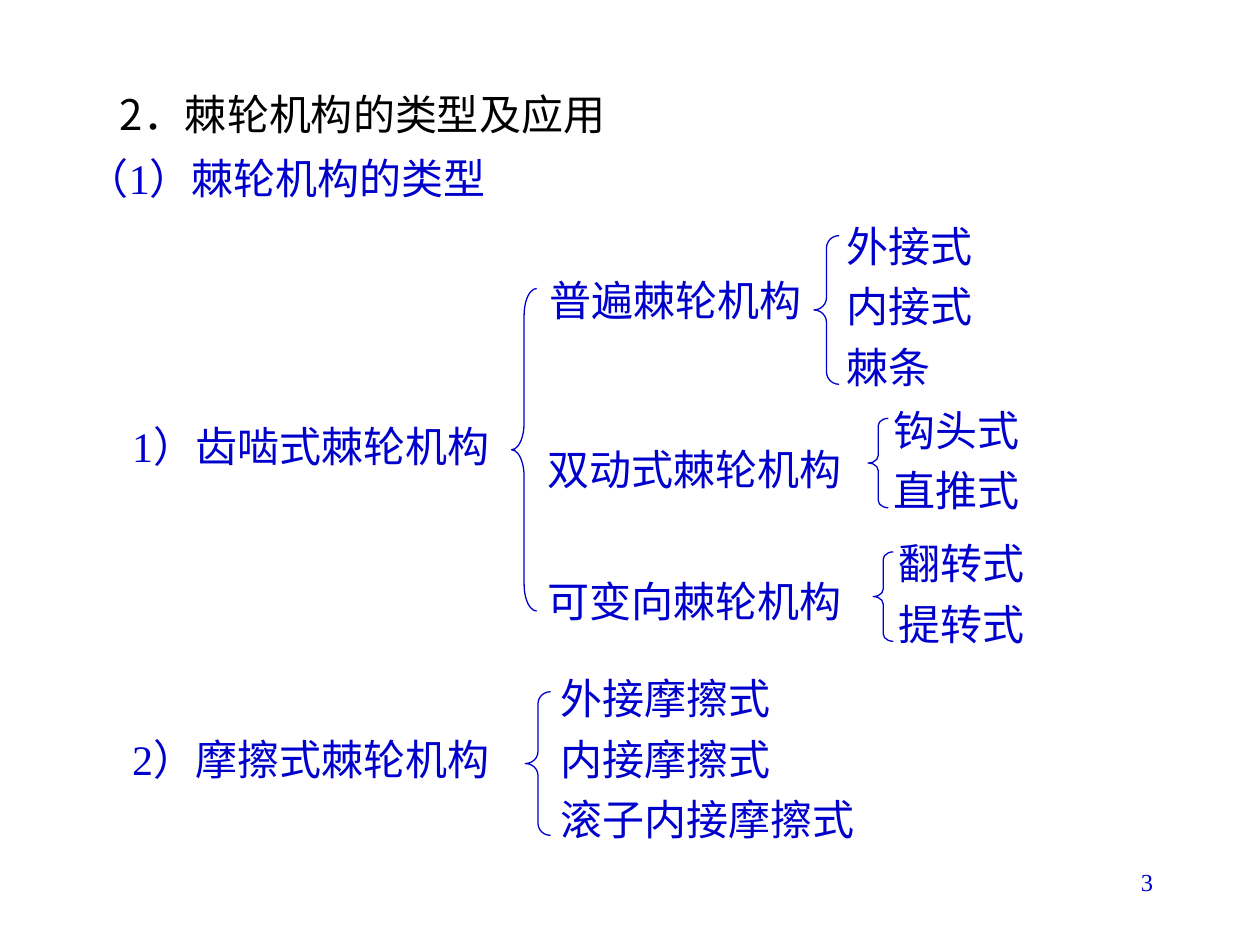
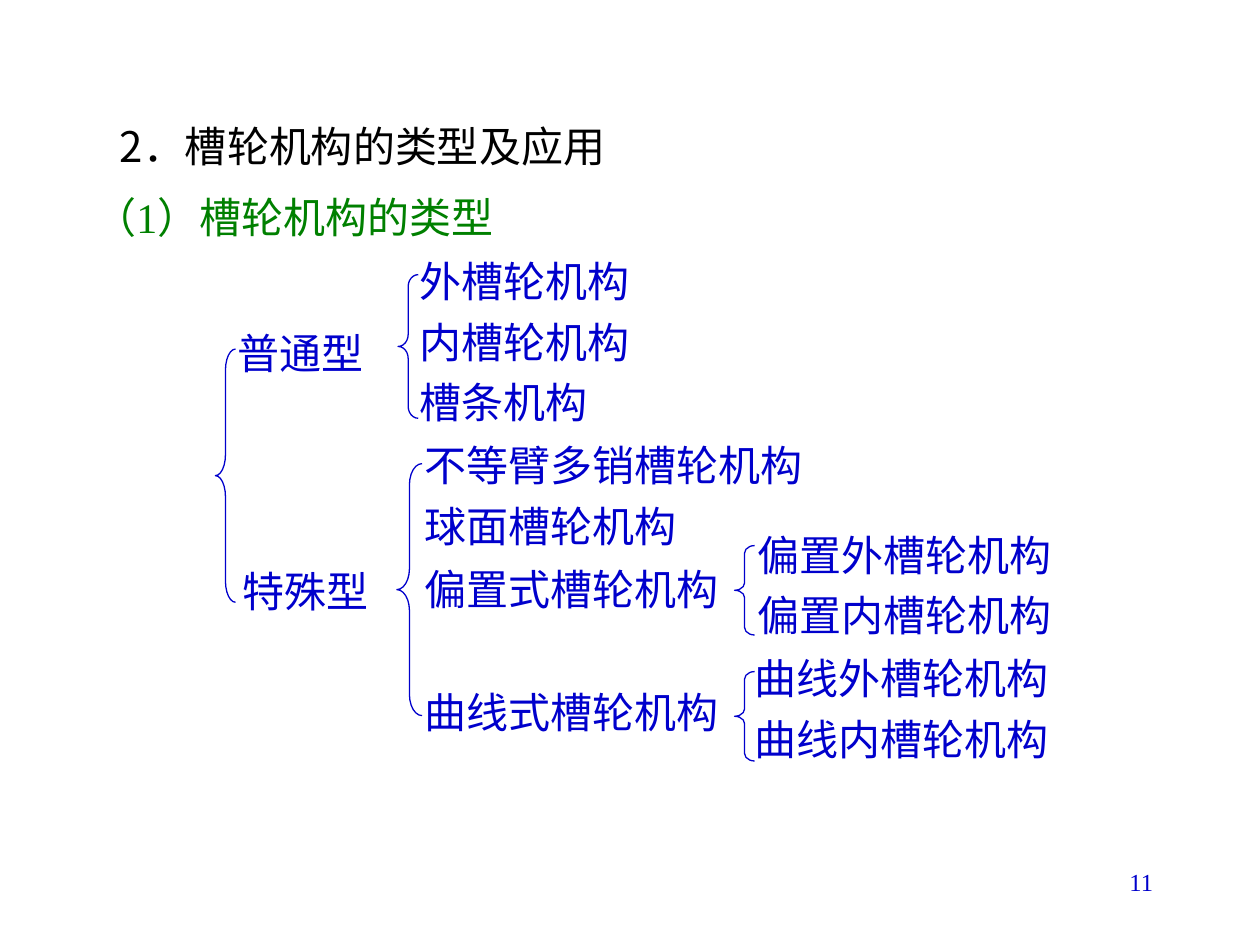
from lxml import etree
from pptx import Presentation
from pptx.dml.color import RGBColor
from pptx.enum.shapes import MSO_SHAPE
from pptx.enum.text import MSO_ANCHOR, MSO_AUTO_SIZE, PP_ALIGN
from pptx.oxml.ns import qn
from pptx.util import Inches, Pt

COLS, ROWS = 100, 75
CJK, LATIN = "Noto Sans CJK SC", "Times New Roman"
BLACK, BLUE, GREEN = "000000", "0000CC", "008000"
CHAR = 100 / 30  # columns taken by one full-width 24 pt character
PAD = 2.2        # columns for the side insets of a text box


def color(hex_string):
    return RGBColor.from_string(hex_string)


def write(sp, *lines, font=LATIN, size=24, fill=BLUE, align=PP_ALIGN.LEFT, spacing=1.0):
    tf = sp.text_frame
    tf.word_wrap = True
    tf.auto_size = MSO_AUTO_SIZE.NONE
    tf.vertical_anchor = MSO_ANCHOR.TOP
    tf.margin_left = tf.margin_right = Inches(0.1)
    tf.margin_top = tf.margin_bottom = Inches(0.05)
    for i, line in enumerate(lines):
        p = tf.add_paragraph() if i else tf.paragraphs[0]
        p.alignment = align
        p.line_spacing = spacing
        r = p.add_run()
        r.text = line
        r.font.name = font
        r.font.size = Pt(size)
        r.font.color.rgb = color(fill)
        east_asian = etree.SubElement(r.font._element, qn("a:ea"))
        east_asian.set("typeface", CJK)


class Deck:
    """Shared style and current slide; lengths are columns and rows of a 100 x 75 grid."""

    def __init__(self):
        self.prs = Presentation()
        self.prs.slide_width, self.prs.slide_height = Inches(10), Inches(7.5)

    def box(self, col, row, cols, rows):
        x, y = self.prs.slide_width / COLS, self.prs.slide_height / ROWS
        return [round(v) for v in (col * x, row * y, cols * x, rows * y)]

    def slide(self, title, row, number):
        self.s = self.prs.slides.add_slide(self.prs.slide_layouts[5])
        sp = self.s.shapes.title
        sp.left, sp.top, sp.width, sp.height = self.box(8.5, row, 41.4, 5)
        write(sp, title, font=CJK, fill=BLACK)
        self.text(71.7, 68.3, number, cols=20.8, size=14, align=PP_ALIGN.RIGHT)

    def text(self, col, row, *lines, cols=None, rows=5, **style):
        cols = cols or max(map(len, lines)) * CHAR + PAD
        sp = self.s.shapes.add_textbox(*self.box(col, row, cols, rows))
        write(sp, *lines, **style)

    def items(self, col, row, *lines):
        """Stack of loosely spaced entries."""
        self.text(col, row, *lines, rows=1 + 4.8 * len(lines), spacing=1.2)

    def brace(self, col, row, rows, cols=1.6):
        sp = self.s.shapes.add_shape(MSO_SHAPE.LEFT_BRACE, *self.box(col, row, cols, rows))
        sp.adjustments[0] = rows / 12 / cols
        sp.shadow.inherit = False
        sp.fill.background()
        sp.line.color.rgb = color(BLUE)
        sp.line.width = Pt(0.75)


def ratchet_types(deck):
    deck.slide("2．棘轮机构的类型及应用", 6.5, "3")
    deck.text(5.9, 11.6, "（1）棘轮机构的类型")

    deck.text(9.5, 32.9, "1）齿啮式棘轮机构")
    deck.brace(40.6, 22.9, 25.6, cols=2)
    deck.text(42.6, 21.3, "普遍棘轮机构")
    deck.brace(64.6, 18.7, 11.8, cols=2)
    deck.items(66.2, 16.2, "外接式", "内接式", "棘条")
    deck.text(42.5, 34.7, "双动式棘轮机构")
    deck.brace(68.9, 33.2, 7.1)
    deck.items(69.9, 30.8, "钩头式", "直推式")
    deck.text(42.5, 45.2, "可变向棘轮机构")
    deck.brace(69.3, 43.8, 7.1)
    deck.items(70.3, 41.4, "翻转式", "提转式")

    deck.text(9.5, 57.7, "2）摩擦式棘轮机构")
    deck.brace(41.7, 54.9, 11.4, cols=2)
    deck.items(43.5, 52.1, "外接摩擦式", "内接摩擦式", "滚子内接摩擦式")


def geneva_types(deck):
    deck.slide("2．槽轮机构的类型及应用", 9.1, "11")
    deck.text(6.5, 14.7, "（1）槽轮机构的类型", fill=GREEN)

    deck.brace(17.1, 27.7, 20.1)
    deck.text(17.9, 25.5, "普通型")
    deck.brace(31.6, 21.8, 11.4)
    deck.items(32.3, 19, "外槽轮机构", "内槽轮机构", "槽条机构")

    deck.text(18.3, 44.4, "特殊型")
    deck.brace(31.5, 36.8, 20, cols=2)
    deck.items(32.7, 33.6, "不等臂多销槽轮机构", "球面槽轮机构")
    deck.items(32.7, 43.4, "偏置式槽轮机构")
    deck.brace(58.3, 43.3, 7.1)
    deck.items(59.1, 40.7, "偏置外槽轮机构", "偏置内槽轮机构")
    deck.items(32.7, 53.2, "曲线式槽轮机构")
    deck.brace(58.3, 53.3, 7.1)
    deck.items(58.9, 50.5, "曲线外槽轮机构", "曲线内槽轮机构")


def main():
    deck = Deck()
    ratchet_types(deck)
    geneva_types(deck)
    deck.prs.save("out.pptx")


if __name__ == "__main__":
    main()
